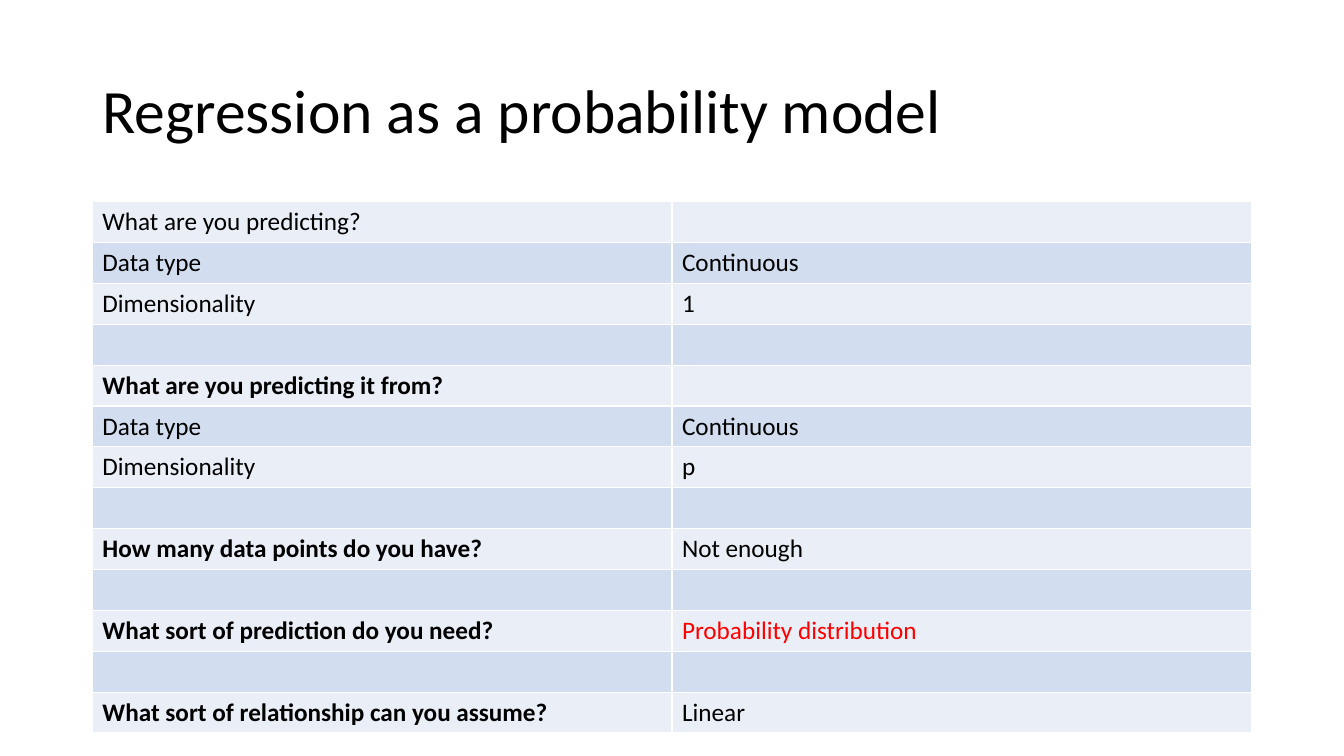
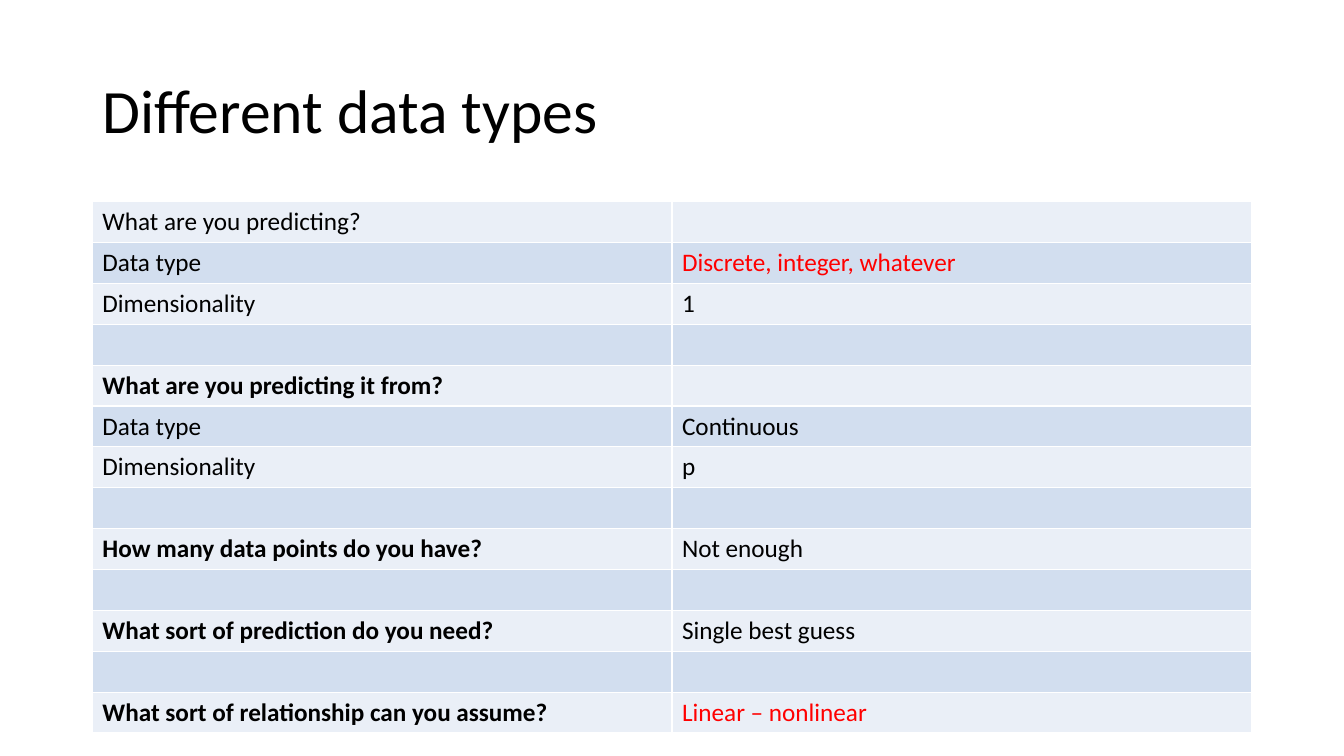
"""Build two slides that answer modelling questions in a two-column table."""
from dataclasses import dataclass

from lxml import etree
from pptx import Presentation
from pptx import util as u
from pptx.dml.color import RGBColor
from pptx.enum import text
from pptx.oxml import ns

COLORS = {"ink": "000000", "accent": "FF0000", "rule": "FFFFFF",
          "light": "EAEFF7", "dark": "D2DEEF"}
FONT = "Calibri"
GRID_COLS = 160
GRID_ROWS = 90
MARGIN = 11
CONTENT = GRID_COLS - 2 * MARGIN
TITLE_TOP, TITLE_ROWS = 4.8, 17.4
TABLE_TOP, ROW_STEP = 24, 4.86

prs = Presentation()
prs.slide_width = u.Inches(13.33)
prs.slide_height = u.Inches(7.5)


@dataclass(frozen=True)
class Question:
    """A label in the left column of the table."""
    label: str = ""
    bold: bool = False


@dataclass(frozen=True)
class Answer:
    """A value in the right column of the table."""
    value: str = ""
    color: str = "ink"


@dataclass(frozen=True)
class ModelSlide:
    """A title with the answers that follow the shared questions."""
    title: str
    answers: dict[int, Answer]


QUESTIONS = [
    Question("What are you predicting?"),
    Question("Data type"),
    Question("Dimensionality"),
    Question(),
    Question("What are you predicting it from?", True),
    Question("Data type"),
    Question("Dimensionality"),
    Question(),
    Question("How many data points do you have?", True),
    Question(),
    Question("What sort of prediction do you need?", True),
    Question(),
    Question("What sort of relationship can you assume?", True),
]

COMMON = {2: Answer("1"), 5: Answer("Continuous"), 6: Answer("p"),
          8: Answer("Not enough")}

SLIDES = [
    ModelSlide("Regression as a probability model", COMMON | {
        1: Answer("Continuous"),
        10: Answer("Probability distribution", "accent"),
        12: Answer("Linear"),
    }),
    ModelSlide("Different data types", COMMON | {
        1: Answer("Discrete, integer, whatever", "accent"),
        10: Answer("Single best guess"),
        12: Answer("Linear – nonlinear", "accent"),
    }),
]


def cols(n: float) -> int:
    """Return the width of n grid columns."""
    return round(prs.slide_width * n / GRID_COLS)


def rows(n: float) -> int:
    """Return the height of n grid rows."""
    return round(prs.slide_height * n / GRID_ROWS)


def apply(target, values: dict) -> None:
    """Set each named attribute on the target."""
    for name, value in values.items():
        setattr(target, name, value)


def style_font(font, size: float, color: str, bold: bool = False) -> None:
    """Give a font its face, size, weight and colour."""
    apply(font, {"name": FONT, "size": u.Pt(size), "bold": bold})
    font.color.rgb = RGBColor.from_string(COLORS[color])


def add_title(s, title: str) -> None:
    """Place and format the title placeholder."""
    sp = s.shapes.title
    apply(sp, {"left": cols(MARGIN), "top": rows(TITLE_TOP),
               "width": cols(CONTENT), "height": rows(TITLE_ROWS)})
    tf = sp.text_frame
    apply(tf, {"text": title, "word_wrap": True,
               "auto_size": text.MSO_AUTO_SIZE.NONE,
               "vertical_anchor": text.MSO_ANCHOR.MIDDLE})
    p = tf.paragraphs[0]
    apply(p, {"alignment": text.PP_ALIGN.LEFT, "line_spacing": 0.9})
    style_font(p.runs[0].font, 44, "ink")


def add_borders(cell) -> None:
    """Draw a thin rule on all four sides of a cell."""
    tc_pr = cell._tc.get_or_add_tcPr()
    for side in ("lnL", "lnR", "lnT", "lnB"):
        ln = etree.SubElement(tc_pr, ns.qn(f"a:{side}"), w=str(u.Pt(1)))
        fill = etree.SubElement(ln, ns.qn("a:solidFill"))
        etree.SubElement(fill, ns.qn("a:srgbClr"), val=COLORS["rule"])


def fill_cell(cell, value: str, fill: str, color: str, bold: bool) -> None:
    """Write and format one table cell."""
    add_borders(cell)
    cell.fill.solid()
    cell.fill.fore_color.rgb = RGBColor.from_string(COLORS[fill])
    p = cell.text_frame.paragraphs[0]
    style_font(p.font, 18, color, bold)
    if value:
        r = p.add_run()
        r.text = value
        style_font(r.font, 18, color, bold)


def add_answers(s, answers: dict[int, Answer]) -> None:
    """Add the table of questions and answers."""
    count = len(QUESTIONS)
    table = s.shapes.add_table(count, 2, cols(MARGIN), rows(TABLE_TOP),
                               cols(CONTENT), rows(ROW_STEP * count)).table
    apply(table, {"first_row": False, "horz_banding": False})
    for i, question in enumerate(QUESTIONS):
        table.rows[i].height = rows(ROW_STEP)
        fill = "dark" if i % 2 else "light"
        answer = answers.get(i, Answer())
        fill_cell(table.cell(i, 0), question.label, fill, "ink", question.bold)
        fill_cell(table.cell(i, 1), answer.value, fill, answer.color, False)


for model in SLIDES:
    s = prs.slides.add_slide(prs.slide_layouts.get_by_name("Title Only"))
    add_title(s, model.title)
    add_answers(s, model.answers)

prs.save("out.pptx")
